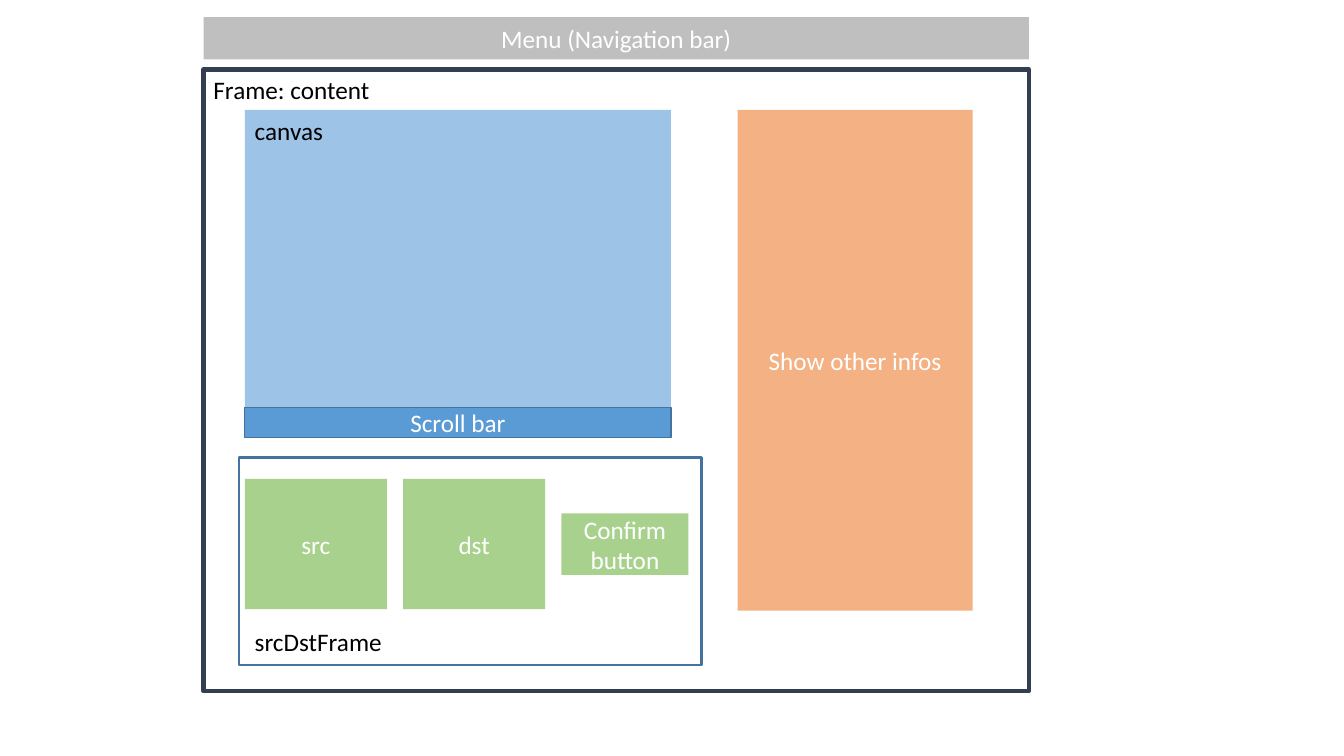
from dataclasses import dataclass
from typing import Optional

from pptx import Presentation
from pptx.dml.color import RGBColor
from pptx.enum.shapes import MSO_SHAPE
from pptx.enum.text import MSO_ANCHOR, MSO_AUTO_SIZE, PP_ALIGN
from pptx.slide import Slide
from pptx.text.text import TextFrame
from pptx.util import Cm, Pt


@dataclass(frozen=True)
class Theme:
    font: str = "Calibri"
    text_size: float = 18
    light_text: str = "FFFFFF"
    dark_text: str = "000000"
    menu: str = "BFBFBF"
    frame_line: str = "333F50"
    canvas: str = "9DC3E6"
    scroll_bar: str = "5B9BD5"
    blue_line: str = "43739E"
    selector: str = "A9D18E"
    infos: str = "F4B183"


@dataclass(frozen=True)
class Panel:
    """A rectangle of the layout, in centimetres."""
    left: float
    top: float
    width: float
    height: float
    text: str = ""
    fill: Optional[str] = None
    line: Optional[str] = None
    line_width: float = 1


@dataclass(frozen=True)
class Label:
    left: float
    top: float
    width: float
    text: str


THEME = Theme()
LABEL_HEIGHT = 1.02

FRAME_LEFT, FRAME_TOP, FRAME_WIDTH = 5.13, 1.75, 20.8
CONTENT_LEFT, CONTENT_TOP = 6.17, 2.77
CANVAS_WIDTH, CANVAS_HEIGHT = 10.74, 8.26
SCROLL_HEIGHT = 0.76
SCROLL_TOP = CONTENT_TOP + CANVAS_HEIGHT - SCROLL_HEIGHT
SELECTOR_TOP, SELECTOR_WIDTH, SELECTOR_HEIGHT = 12.07, 3.58, 3.28
SELECTOR_STEP = 3.99
CONFIRM_HEIGHT = 1.55
CONFIRM_TOP = SELECTOR_TOP + (SELECTOR_HEIGHT - CONFIRM_HEIGHT) / 2

PANELS = [
    Panel(6.02, 11.53, 11.66, 5.23, line=THEME.blue_line, line_width=1.5),
    Panel(FRAME_LEFT, FRAME_TOP, FRAME_WIDTH, 15.67,
          line=THEME.frame_line, line_width=3),
    Panel(CONTENT_LEFT, CONTENT_TOP, CANVAS_WIDTH, CANVAS_HEIGHT, fill=THEME.canvas),
    *(Panel(CONTENT_LEFT + column * SELECTOR_STEP, SELECTOR_TOP,
            SELECTOR_WIDTH, SELECTOR_HEIGHT, name, THEME.selector)
      for column, name in enumerate(("src", "dst"))),
    Panel(CONTENT_LEFT + 2 * SELECTOR_STEP, CONFIRM_TOP, 3.2, CONFIRM_HEIGHT,
          "Confirm button", THEME.selector),
    Panel(18.59, CONTENT_TOP, 5.92, 12.62, "Show other infos", THEME.infos),
    Panel(FRAME_LEFT, 0.43, FRAME_WIDTH, 1.07, "Menu (Navigation bar)", THEME.menu),
    Panel(CONTENT_LEFT, SCROLL_TOP, CANVAS_WIDTH, SCROLL_HEIGHT,
          "Scroll bar", THEME.scroll_bar, THEME.blue_line),
]

LABELS = [
    Label(FRAME_LEFT, FRAME_TOP, 6.45, "Frame: content"),
    Label(CONTENT_LEFT, CONTENT_TOP, 4.11, "canvas"),
    Label(CONTENT_LEFT, 15.65, 4.11, "srcDstFrame"),
]


def write_text(frame: TextFrame, text: str, color: str,
               alignment: PP_ALIGN, anchor: MSO_ANCHOR) -> None:
    frame.word_wrap = True
    frame.vertical_anchor = anchor
    paragraph = frame.paragraphs[0]
    paragraph.alignment = alignment
    run = paragraph.add_run()
    run.text = text
    font_format = {"name": THEME.font, "size": Pt(THEME.text_size)}
    for attribute, value in font_format.items():
        setattr(run.font, attribute, value)
    run.font.color.rgb = RGBColor.from_string(color)


def draw_panel(slide: Slide, panel: Panel) -> None:
    box = slide.shapes.add_shape(
        MSO_SHAPE.RECTANGLE, Cm(panel.left), Cm(panel.top),
        Cm(panel.width), Cm(panel.height))
    box.shadow.inherit = False
    if panel.fill:
        box.fill.solid()
        box.fill.fore_color.rgb = RGBColor.from_string(panel.fill)
    else:
        box.fill.background()
    if panel.line:
        box.line.color.rgb = RGBColor.from_string(panel.line)
        box.line.width = Pt(panel.line_width)
    else:
        box.line.fill.background()
    if panel.text:
        write_text(box.text_frame, panel.text, THEME.light_text,
                   PP_ALIGN.CENTER, MSO_ANCHOR.MIDDLE)


def draw_label(slide: Slide, label: Label) -> None:
    box = slide.shapes.add_textbox(
        Cm(label.left), Cm(label.top), Cm(label.width), Cm(LABEL_HEIGHT))
    write_text(box.text_frame, label.text, THEME.dark_text,
               PP_ALIGN.LEFT, MSO_ANCHOR.TOP)
    box.text_frame.auto_size = MSO_AUTO_SIZE.SHAPE_TO_FIT_TEXT


def main() -> None:
    presentation = Presentation()
    presentation.slide_width = Cm(33.87)
    presentation.slide_height = Cm(19.05)
    blank_layout = presentation.slide_layouts.get_by_name("Blank")
    slide = presentation.slides.add_slide(blank_layout)
    for panel in PANELS:
        draw_panel(slide, panel)
    for label in LABELS:
        draw_label(slide, label)
    presentation.save("out.pptx")


if __name__ == "__main__":
    main()
